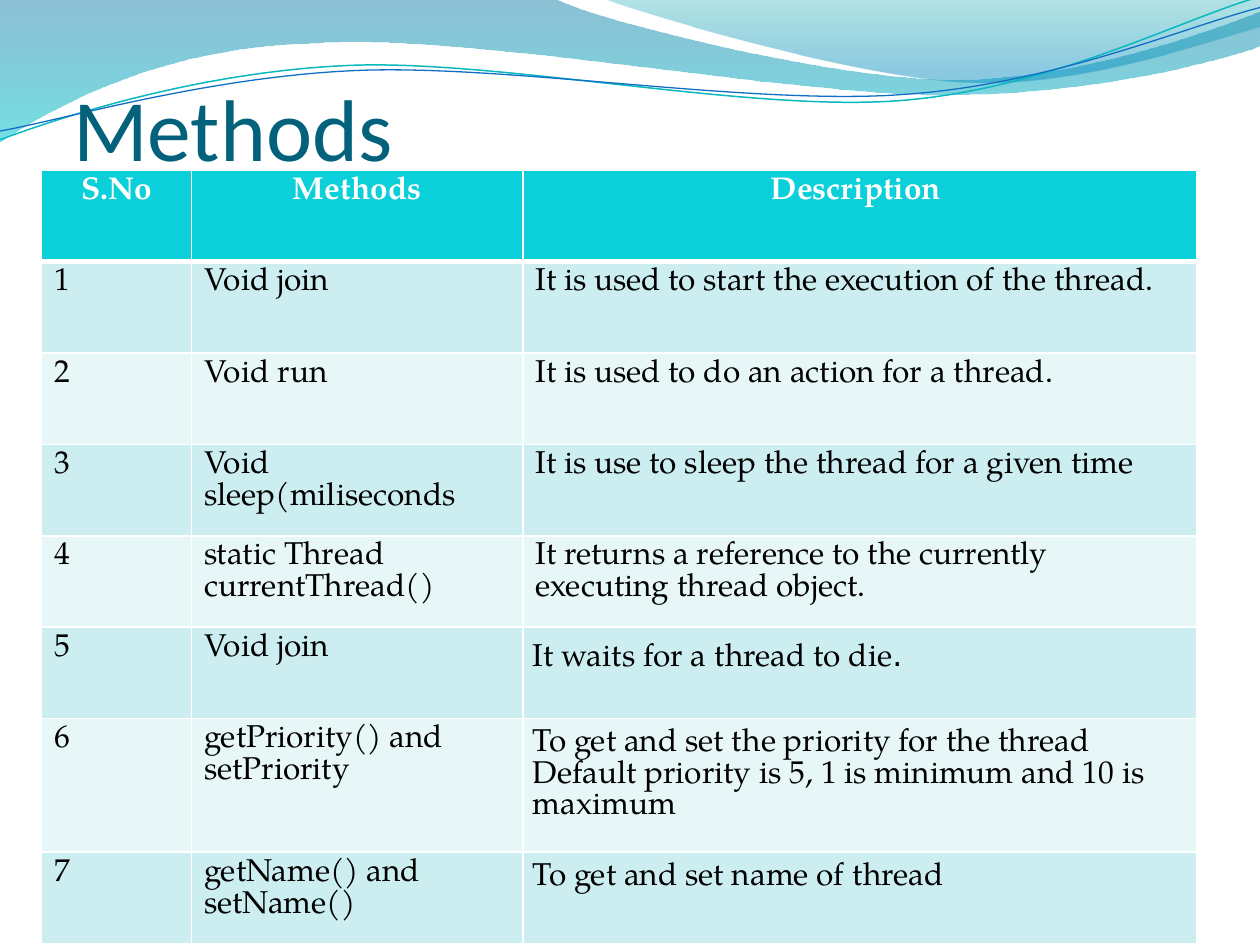
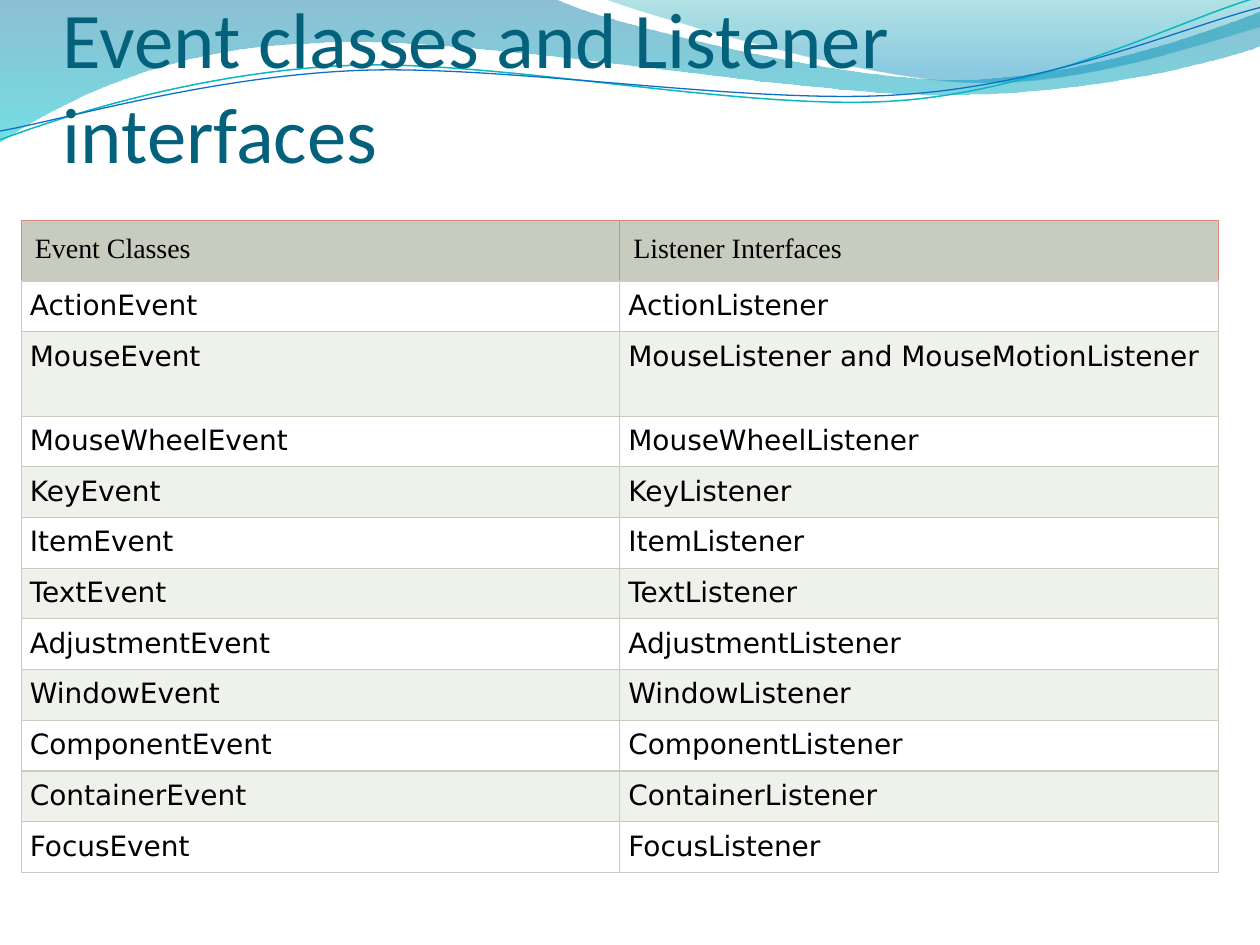
import pptx
import pptx.util
import pptx.dml.color
import pptx.enum.text
import pptx.oxml
import pptx.oxml.ns
import lxml.etree

deck = pptx.Presentation()
deck.slide_width = pptx.util.Inches(10)
deck.slide_height = pptx.util.Inches(7.5)
COLUMN = deck.slide_width / 10
ROW = deck.slide_height / 7.5
BLANK = deck.slide_layouts[6]

BLACK, WHITE = "000000", "FFFFFF"
TITLE_BLUE = "04617B"
TURQUOISE, PALE_TURQUOISE, PALEST_TURQUOISE = "0BD0D9", "CCEEF1", "E7F7F8"
SAGE, PALE_SAGE, CORAL = "C7CCBE", "EFF1EB", "E0877E"
SERIF, SANS = "TeX Gyre Pagella", "DejaVu Sans"
LEFT = pptx.enum.text.PP_ALIGN.LEFT
CENTER = pptx.enum.text.PP_ALIGN.CENTER

BROAD_WAVE = [
    (0, 0), (4.4, -0.01), (4.76, 0.17, 6.64, 0.63, 7.58, 0.63),
    (8.53, 0.63, 9.58, 0.26, 10, 0.09), (10.01, 0.36),
    (9.83, 0.44, 8.7, 0.76, 7.46, 0.75), (6.22, 0.75, 3.82, 0.28, 2.57, 0.34),
    (1.29, 0.36, 0.46, 0.83, -0.01, 1.13), (0, 0),
]
RIGHT_WAVE = [
    (4.79, -0.01), (5.09, 0.11, 6.82, 0.62, 7.69, 0.65),
    (8.56, 0.69, 9.61, 0.32, 10, 0.21), (10, 0), (4.79, -0.01),
]
TEAL_CURVE = [
    (0, 1.11), (0.48, 0.93, 1.58, 0.57, 2.77, 0.52),
    (3.95, 0.47, 5.93, 0.89, 7.13, 0.8), (8.33, 0.71, 9.38, 0.15, 9.98, -0.02),
]
BLUE_CURVE = [
    (0, 1.04), (0.47, 0.96, 1.64, 0.61, 2.83, 0.56),
    (4.03, 0.51, 5.97, 0.84, 7.17, 0.75), (8.36, 0.67, 9.41, 0.21, 10, 0.06),
]

METHODS = [
    ("S.No", "Methods", "Description "),
    ("1", "Void join ", "It is used to start the execution of the thread."),
    ("2", "Void run ", "It is used to do an action for a thread."),
    ("3", "Void sleep(miliseconds", "It is use to sleep the thread for a given time "),
    ("4", "static Thread currentThread()",
     "It returns a reference to the currently executing thread object."),
    ("5", "Void join", "It waits for a thread to die"),
    ("6", "getPriority() and setPriority ",
     "To get and set the priority for the thread\n"
     "Default priority is 5, 1 is minimum and 10 is maximum "),
    ("7", "getName() and setName()", "To get and set name of thread"),
]
EVENT_NAMES = ["Action", "Mouse", "MouseWheel", "Key", "Item", "Text", "Adjustment",
               "Window", "Component", "Container", "Focus"]
LISTENERS = {"Mouse": "MouseListener and MouseMotionListener"}
EVENTS = [("Event Classes", "Listener Interfaces")] + [
    (name + "Event", LISTENERS.get(name, name + "Listener")) for name in EVENT_NAMES
]


def rgb(value):
    return pptx.dml.color.RGBColor.from_string(value)


def grid(*box):
    return [round(length * unit) for length, unit in zip(box, (COLUMN, ROW) * 2)]


def write(paragraph, text, font=SERIF, size=18, color=BLACK, bold=False, align=LEFT):
    paragraph.alignment = align
    run = paragraph.add_run()
    run.text = text
    run.font.name, run.font.size, run.font.bold = font, pptx.util.Pt(size), bold
    run.font.color.rgb = rgb(color)


def set_margins(holder, left, top, right, bottom):
    holder.margin_left, holder.margin_top, holder.margin_right, holder.margin_bottom = (
        grid(left, top, right, bottom))


def add_outline(slide, origin, segments, close):
    points = [grid(origin[0] + x, origin[1] + y)
              for segment in segments for x, y in zip(segment[::2], segment[1::2])]
    builder = slide.shapes.build_freeform(*points[0])
    builder.add_line_segments(points[1:], close=close)
    outline = builder.convert_to_shape()
    outline.shadow.inherit = False
    steps = iter(list(outline.element.iter(pptx.oxml.ns.qn("a:lnTo"))))
    for segment in segments[1:]:
        step = next(steps)
        if len(segment) == 6:
            step.addprevious(bend := lxml.etree.Element(pptx.oxml.ns.qn("a:cubicBezTo")))
            for corner in (step, next(steps), next(steps)):
                bend.append(corner[0])
                corner.getparent().remove(corner)
    return outline


def add_wave(slide, origin, segments, stops):
    wave = add_outline(slide, origin, segments, True)
    wave.line.fill.background()
    wave.fill.gradient()
    wave.fill.gradient_angle = 270
    for stop, (position, color, _) in zip(wave.fill.gradient_stops, stops):
        stop.position = position
        stop.color.rgb = rgb(color)
    for tint, (_, _, opacity) in zip(wave.element.iter(pptx.oxml.ns.qn("a:srgbClr")), stops):
        alpha = lxml.etree.SubElement(tint, pptx.oxml.ns.qn("a:alpha"))
        alpha.set("val", str(opacity * 1000))
    return wave


def add_curve(slide, origin, segments, color, width):
    curve = add_outline(slide, origin, segments, False)
    curve.fill.background()
    curve.line.color.rgb = rgb(color)
    curve.line.width = pptx.util.Pt(width)
    return curve


def add_wave_band(slide, layout, origin):
    parts = [
        add_wave(slide, origin, BROAD_WAVE, [(0, "0074A1", 45), (1, "00C6CF", 55)]),
        add_wave(slide, origin, RIGHT_WAVE, [(0, "00A1A9", 30), (0.8, "008BBF", 45)]),
        add_curve(slide, origin, TEAL_CURVE, "0AB8BF", 0.85),
        add_curve(slide, origin, BLUE_CURVE, "0F6FC6", 0.75),
    ]
    for part in parts:
        layout.shapes.element.append(part.element)


def add_title(slide, box, text, size):
    frame = slide.shapes.add_textbox(*grid(*box)).text_frame
    frame.word_wrap = True
    frame.vertical_anchor = pptx.enum.text.MSO_ANCHOR.BOTTOM
    set_margins(frame, 0, 0.05, 0, 0)
    write(frame.paragraphs[0], text, font="Calibri", size=size, color=TITLE_BLUE)


def set_borders(cell, borders):
    properties = cell._tc.get_or_add_tcPr()
    for side in "LRTB":
        color, width = borders[side]
        line = lxml.etree.SubElement(properties, pptx.oxml.ns.qn("a:ln" + side))
        line.set("w", str(pptx.util.Pt(width)))
        fill = lxml.etree.SubElement(line, pptx.oxml.ns.qn("a:solidFill"))
        lxml.etree.SubElement(fill, pptx.oxml.ns.qn("a:srgbClr")).set("val", color)


def add_grid_table(slide, box, rows, widths, heights, header, body, bands, border, edges):
    table = slide.shapes.add_table(len(rows), len(widths), *grid(*box)).table
    table.first_row = table.horz_banding = False
    for column, width in zip(table.columns, widths):
        column.width = round(width * COLUMN)
    for row, height in zip(table.rows, heights):
        row.height = round(height * ROW)
    for r, texts in enumerate(rows):
        style = body if r else header
        borders = dict.fromkeys("LRTB", border if r else edges["outer"])
        if r < 2:
            borders["T" if r else "B"] = edges["under"]
        for c, text in enumerate(texts):
            cell = table.cell(r, c)
            set_borders(cell, borders)
            cell.fill.solid()
            cell.fill.fore_color.rgb = rgb(bands[(r - 1) % 2] if r else style["fill"])
            set_margins(cell, *style["margins"])
            frame = cell.text_frame
            for p, line in enumerate(text.split("\n")):
                paragraph = frame.add_paragraph() if p else frame.paragraphs[0]
                write(paragraph, line, **style["format"])
    return table


def add_methods_table(slide, box):
    margins = (0.1, 0.05, 0.1, 0.05)
    priority_row = 0.92
    heights = [(box[3] - priority_row) / (len(METHODS) - 1)] * len(METHODS)
    heights[6] = priority_row
    table = add_grid_table(
        slide, box, METHODS, (1.19, 2.63, 5.35), heights,
        header=dict(fill=TURQUOISE, margins=margins,
                    format=dict(color=WHITE, bold=True, align=CENTER)),
        body=dict(margins=margins, format={}),
        bands=(PALE_TURQUOISE, PALEST_TURQUOISE),
        border=(WHITE, 1), edges=dict(outer=(WHITE, 1), under=(WHITE, 3)))
    for r in (5, 6, 7):
        set_margins(table.cell(r, 2), *[0.08] * 4)
    write(table.cell(5, 2).text_frame.paragraphs[0], ".", font=SANS)


def add_events_table(slide, box):
    heights = [0.48] + [0.67 if name in LISTENERS else 0.4 for name in EVENT_NAMES]
    add_grid_table(
        slide, box, EVENTS, [box[2] / 2] * 2, heights,
        header=dict(fill=SAGE, margins=[7.7 / 72] * 4,
                    format=dict(font="Times New Roman", size=16)),
        body=dict(margins=[4.9 / 72] * 4, format=dict(font=SANS, size=16)),
        bands=(WHITE, PALE_SAGE),
        border=(SAGE, 0.75), edges=dict(outer=(CORAL, 0.75), under=(SAGE, 0.75)))


def add_table_slide(title, title_left, title_size, add_table, table_box):
    slide = deck.slides.add_slide(BLANK)
    add_title(slide, (title_left, 0.17, 9, 1.25), title, title_size)
    add_table(slide, table_box)
    return slide


methods_slide = add_table_slide("Methods", 0.58, 50, add_methods_table,
                                (0.33, 1.35, 9.17, 6))
add_table_slide("Event classes and Listener interfaces", 0.5, 45,
                add_events_table, (0.17, 1.75, 9.5, 5.28))
add_wave_band(methods_slide, BLANK, (0, 0))
deck.save("out.pptx")
